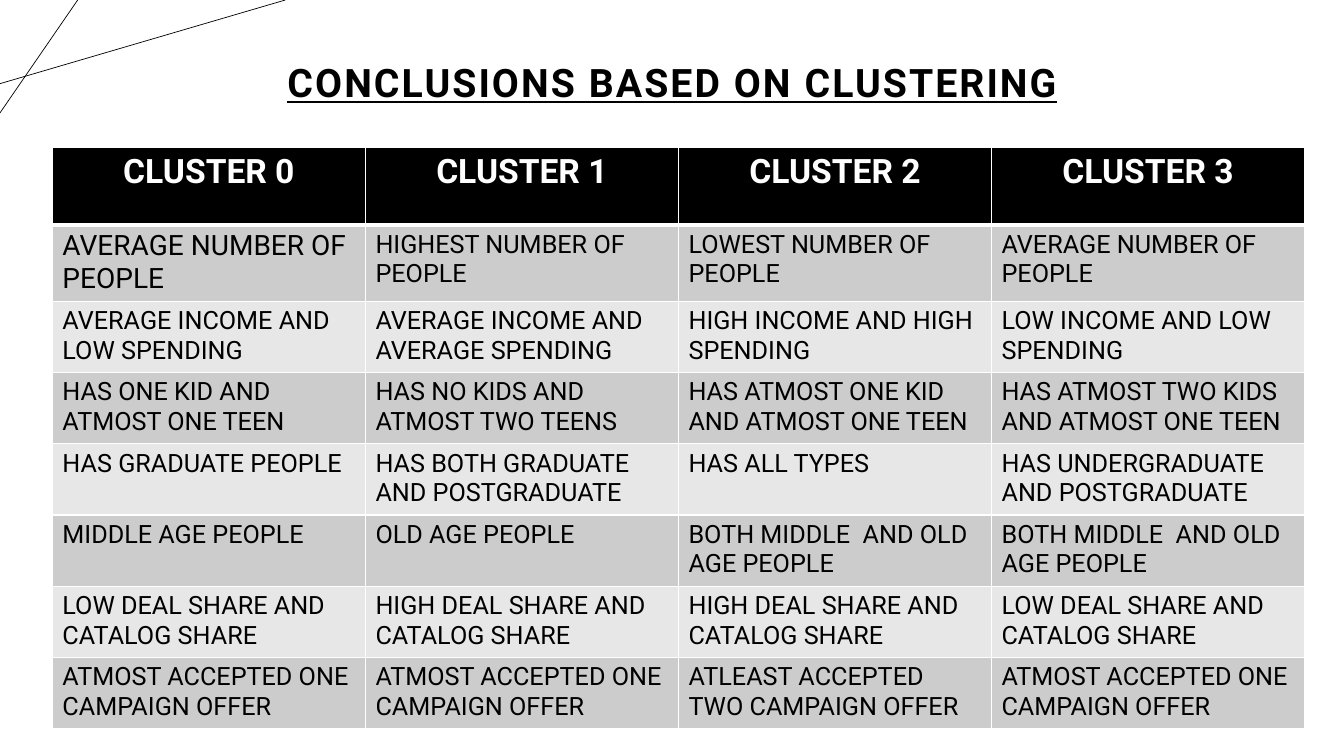
import pptx
import pptx.dml.color
import pptx.enum.shapes
import pptx.enum.text
import pptx.oxml
import pptx.oxml.ns
import pptx.util

COLOURS = {
    "ink": "000000",
    "paper": "FFFFFF",
    "odd_row": "CCCCCC",
    "even_row": "E7E7E7",
}
CLUSTERS = ["CLUSTER 0", "CLUSTER 1", "CLUSTER 2", "CLUSTER 3"]
FINDINGS = [
    ["AVERAGE NUMBER OF PEOPLE", "HIGHEST NUMBER OF PEOPLE",
     "LOWEST NUMBER OF PEOPLE", "AVERAGE NUMBER OF PEOPLE"],
    ["AVERAGE INCOME AND LOW SPENDING", "AVERAGE INCOME AND AVERAGE SPENDING",
     "HIGH INCOME AND HIGH SPENDING", "LOW INCOME AND LOW SPENDING"],
    ["HAS ONE KID AND ATMOST ONE TEEN", "HAS NO KIDS AND ATMOST TWO TEENS",
     "HAS ATMOST ONE KID AND ATMOST ONE TEEN", "HAS ATMOST TWO KIDS AND ATMOST ONE TEEN"],
    ["HAS GRADUATE PEOPLE", "HAS BOTH GRADUATE AND POSTGRADUATE",
     "HAS ALL TYPES", "HAS UNDERGRADUATE AND POSTGRADUATE"],
    ["MIDDLE AGE PEOPLE", "OLD AGE PEOPLE",
     "BOTH MIDDLE  AND OLD AGE PEOPLE", "BOTH MIDDLE  AND OLD AGE PEOPLE"],
    ["LOW DEAL SHARE AND  CATALOG SHARE", "HIGH DEAL SHARE AND CATALOG SHARE",
     "HIGH DEAL SHARE AND CATALOG SHARE", "LOW DEAL SHARE AND CATALOG SHARE"],
    ["ATMOST ACCEPTED ONE CAMPAIGN OFFER", "ATMOST ACCEPTED ONE CAMPAIGN OFFER",
     "ATLEAST ACCEPTED TWO CAMPAIGN OFFER", "ATMOST ACCEPTED ONE CAMPAIGN OFFER"],
]


def rgb(name):
    return pptx.dml.color.RGBColor.from_string(COLOURS[name])


class ClusterSlide:
    """Holds the style and the slide; lengths are percentages of the slide's size."""

    font_name = "Roboto"

    def __init__(self, presentation):
        self.width = presentation.slide_width
        self.height = presentation.slide_height
        self.slide = presentation.slides.add_slide(presentation.slide_layouts[5])
        self.slide.background.fill.solid()
        self.slide.background.fill.fore_color.rgb = rgb("paper")

    def x(self, share):
        return round(self.width * share / 100)

    def y(self, share):
        return round(self.height * share / 100)

    def add_run(self, paragraph, text, size, colour="ink", bold=False):
        run = paragraph.add_run()
        run.text = text
        run.font.name = self.font_name
        run.font.size = pptx.util.Pt(size)
        run.font.bold = bold
        run.font.color.rgb = rgb(colour)
        return run

    def add_line(self, start, end):
        line = self.slide.shapes.add_connector(
            pptx.enum.shapes.MSO_CONNECTOR.STRAIGHT,
            self.x(start[0]), self.y(start[1]), self.x(end[0]), self.y(end[1]))
        line.line.color.rgb = rgb("ink")
        line.line.width = pptx.util.Pt(0.5)
        pptx.oxml.ns.qn("a:effectLst")
        line._element.spPr.append(
            line._element.makeelement(pptx.oxml.ns.qn("a:effectLst"), {}))

    def set_title(self, text, left, top, width, height):
        title = self.slide.shapes.title
        title.left, title.top = self.x(left), self.y(top)
        title.width, title.height = self.x(width), self.y(height)
        frame = title.text_frame
        frame.word_wrap = True
        frame.auto_size = pptx.enum.text.MSO_AUTO_SIZE.NONE
        frame.vertical_anchor = pptx.enum.text.MSO_ANCHOR.MIDDLE
        paragraph = frame.paragraphs[0]
        paragraph.alignment = pptx.enum.text.PP_ALIGN.CENTER
        paragraph.line_spacing = 0.9
        run = self.add_run(paragraph, text, 28, bold=True)
        run.font.underline = True
        run._r.get_or_add_rPr().set("spc", "150")

    def set_borders(self, cell, top, bottom):
        """Draw the four cell borders; top and bottom are widths in points."""
        properties = cell._tc.get_or_add_tcPr()
        widths = {"lnL": 1, "lnR": 1, "lnT": top, "lnB": bottom}
        for position, (side, points) in enumerate(widths.items()):
            properties.insert(position, pptx.oxml.parse_xml(
                f'<a:{side} {pptx.oxml.ns.nsdecls("a")} w="{pptx.util.Pt(points)}">'
                f'<a:solidFill><a:srgbClr val="{COLOURS["paper"]}"/></a:solidFill>'
                f'</a:{side}>'))

    def fill_cell(self, cell, text, row, column):
        header = row == 0
        fill = "ink" if header else "odd_row" if row % 2 else "even_row"
        cell.fill.solid()
        cell.fill.fore_color.rgb = rgb(fill)
        self.set_borders(cell, top=3 if row == 1 else 1, bottom=3 if header else 1)
        paragraph = cell.text_frame.paragraphs[0]
        if header:
            paragraph.alignment = pptx.enum.text.PP_ALIGN.CENTER
            self.add_run(paragraph, text, 24, "paper", bold=True)
        else:
            self.add_run(paragraph, text, 20 if (row, column) == (1, 0) else 18)

    def add_table(self, rows, left, top, width, row_heights):
        columns = len(rows[0])
        table = self.slide.shapes.add_table(
            len(rows), columns, self.x(left), self.y(top),
            self.x(width), self.y(sum(row_heights))).table
        for column in table.columns:
            column.width = self.x(width / columns)
        for row, texts in enumerate(rows):
            table.rows[row].height = self.y(row_heights[row])
            for column, text in enumerate(texts):
                self.fill_cell(table.cell(row, column), text, row, column)


def main():
    presentation = pptx.Presentation()
    presentation.slide_width = pptx.util.Inches(13.33)
    presentation.slide_height = pptx.util.Inches(7.5)
    slide = ClusterSlide(presentation)
    slide.add_line((0, 11.07), (21.23, 0))
    slide.add_line((5.78, 0), (0, 14.93))
    slide.set_title("CONCLUSIONS BASED ON CLUSTERING", 6.9, 5.33, 86.27, 11.87)
    slide.add_table([CLUSTERS] + FINDINGS, 3.9, 19.47, 93.17,
                    [10.27, 10.1] + [9.43] * 6)
    presentation.save("out.pptx")


if __name__ == "__main__":
    main()
